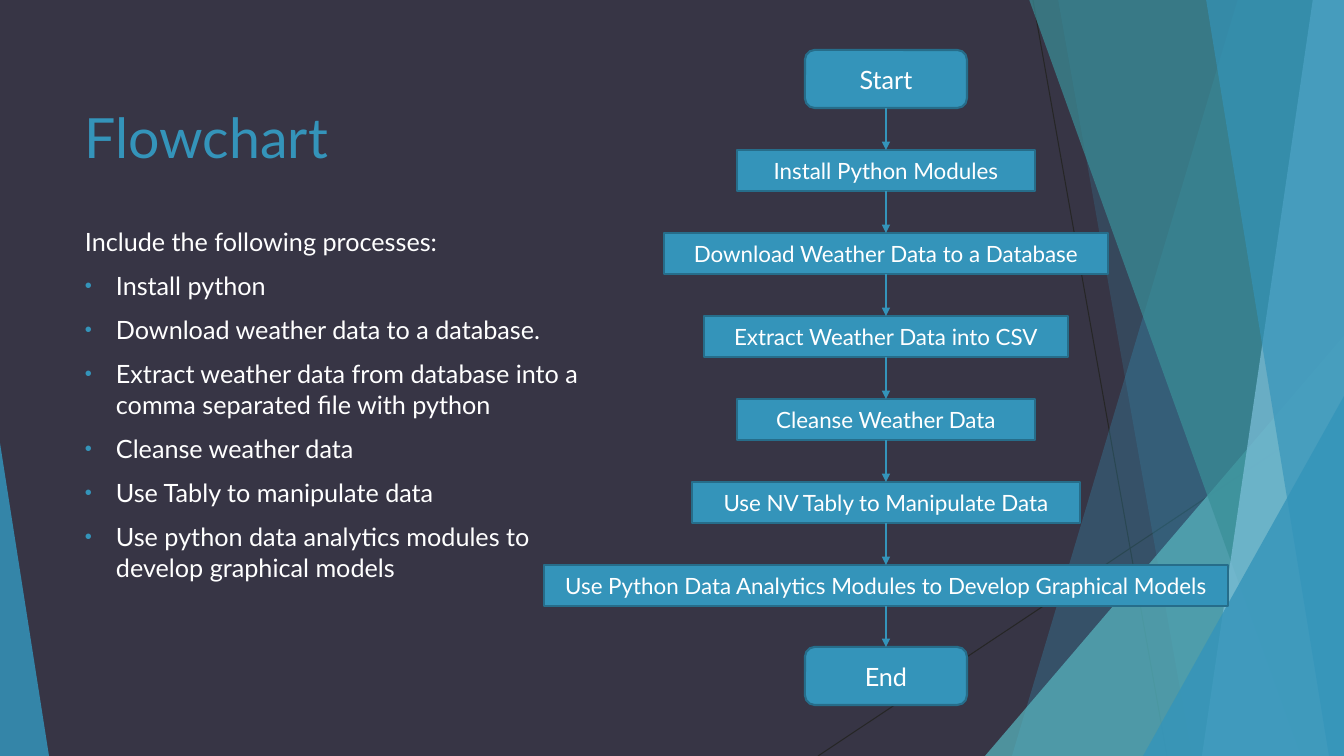
from lxml import etree
from pptx import Presentation
from pptx.dml.color import RGBColor
from pptx.enum.shapes import MSO_CONNECTOR, MSO_SHAPE
from pptx.enum.text import MSO_ANCHOR, PP_ALIGN
from pptx.oxml.ns import qn
from pptx.util import Pt

STRAIGHT = MSO_CONNECTOR.STRAIGHT
RECT, ROUNDED, TRIANGLE = MSO_SHAPE.RECTANGLE, MSO_SHAPE.ROUNDED_RECTANGLE, MSO_SHAPE.ISOSCELES_TRIANGLE
MIDDLE, BOTTOM, TOP = MSO_ANCHOR.MIDDLE, MSO_ANCHOR.BOTTOM, MSO_ANCHOR.TOP
CENTER = PP_ALIGN.CENTER

W, H = 1344, 756
PX = 12192000 / W
FONT = "Lato"
DARK, BLUE, EDGE, WHITE, HAIRLINE = "373545", "3494BA", "266D8A", "FFFFFF", "262626"

TITLE = "Flowchart"
INTRO = "Include the following processes:"
BULLETS = [
    "Install python",
    "Download weather data to a database.",
    "Extract weather data from database into a comma separated file with python",
    "Cleanse weather data",
    "Use Tably to manipulate data",
    "Use python data analytics modules to develop graphical models",
]
STEPS = [  # text, width
    ("Install Python Modules", 298),
    ("Download Weather Data to a Database", 444),
    ("Extract Weather Data into CSV", 364),
    ("Cleanse Weather Data", 298),
    ("Use NV Tably to Manipulate Data", 388),
    ("Use Python Data Analytics Modules to Develop Graphical Models", 684),
]
AXIS, STEP_TOP, STEP_PITCH, STEP_H = 886, 150, 83, 41
END_W, END_H, START_TOP, END_TOP = 162, 58, 50, 647

HAIRLINES = [(1033, 0, 1167, H), (W, 406, 818, H)]
# band: left edge at top and bottom, reaching the right border
# triangle: left, top, width, position of the apex
BACKDROP = [
    ("band", (1238, 1012), BLUE, 30),
    ("band", (1058, 1192), BLUE, 20),
    ("triangle", (985, 336, 359, 1), "58B6C0", 72),
    ("band", (1029, 1301), "3A8F98", 70),
    ("band", (1313, 1202), "7FC1DB", 70),
    ("band", (1206, 1329), BLUE, 65),
    ("triangle", (1143, 396, 201, 1), BLUE, 80),
    ("triangle", (0, 443, 49, 0), BLUE, 85),
]


def emu(*lengths):
    return [round(n * PX) for n in lengths]


def rgb(value):
    return RGBColor.from_string(value)


def paint(sp, fill, alpha=None, line=None):
    sp.shadow.inherit = False
    sp.fill.solid()
    sp.fill.fore_color.rgb = rgb(fill)
    if alpha is not None:
        color = sp.fill._xPr.find(qn("a:solidFill"))[0]
        etree.SubElement(color, qn("a:alpha"), val=str(alpha * 1000))
    if line:
        sp.line.color.rgb = rgb(line)
        sp.line.width = Pt(1.5)
    else:
        sp.line.fill.background()


def add_run(p, text, size, color):
    r = p.add_run()
    r.text = text
    r.font.name, r.font.size = FONT, Pt(size)
    r.font.color.rgb = rgb(color)


def add_line(shapes, ends, color, width):
    cx = shapes.add_connector(STRAIGHT, *emu(*ends))
    cx.line.color.rgb = rgb(color)
    cx.line.width = Pt(width)
    etree.SubElement(cx._element.spPr, qn("a:effectLst"))
    return cx


def add_backdrop(shapes):
    for ends in HAIRLINES:
        add_line(shapes, ends, HAIRLINE, 0.75)
    for kind, geometry, color, alpha in BACKDROP:
        if kind == "band":
            top, bottom = geometry
            outline = shapes.build_freeform(top, -1, scale=PX)
            outline.add_line_segments([(W, -1), (W, H), (bottom, H)], close=True)
            sp = outline.convert_to_shape()
        else:
            x, y, w, apex = geometry
            sp = shapes.add_shape(TRIANGLE, *emu(x, y, w, H - y))
            sp.adjustments[0] = apex
        paint(sp, color, alpha)


def add_text_box(shapes, box, anchor):
    tf = shapes.add_textbox(*emu(*box)).text_frame
    tf.word_wrap = True
    tf.vertical_anchor = anchor
    return tf


def add_bullet(p):
    pPr = p._p.get_or_add_pPr()
    indent = emu(31)[0]
    pPr.set("marL", str(indent))
    pPr.set("indent", str(-indent))
    color = etree.SubElement(pPr, qn("a:buClr"))
    etree.SubElement(color, qn("a:srgbClr"), val=BLUE)
    etree.SubElement(pPr, qn("a:buSzPct"), val="80000")
    etree.SubElement(pPr, qn("a:buFont"), typeface="Arial")
    etree.SubElement(pPr, qn("a:buChar"), char="•")


def add_node(shapes, kind, text, top, w, h, size):
    """Add one flowchart box centred on the axis."""
    sp = shapes.add_shape(kind, *emu(AXIS - w / 2, top, w, h))
    paint(sp, BLUE, line=EDGE)
    tf = sp.text_frame
    tf.word_wrap = True
    tf.vertical_anchor = MIDDLE
    p = tf.paragraphs[0]
    p.alignment = CENTER
    add_run(p, text, size, WHITE)
    return sp


def add_flowchart(shapes):
    nodes = [add_node(shapes, ROUNDED, "Start", START_TOP, END_W, END_H, 18)]
    for i, (text, w) in enumerate(STEPS):
        nodes.append(add_node(shapes, RECT, text, STEP_TOP + i * STEP_PITCH, w, STEP_H, 16))
    nodes.append(add_node(shapes, ROUNDED, "End", END_TOP, END_W, END_H, 18))
    for upper, lower in zip(nodes, nodes[1:]):
        cx = add_line(shapes, (0, 0, 0, 0), BLUE, 1)
        cx.begin_connect(upper, 2)
        cx.end_connect(lower, 0)
        etree.SubElement(cx.line._get_or_add_ln(), qn("a:tailEnd"), type="triangle")


def main():
    prs = Presentation()
    prs.slide_width, prs.slide_height = emu(W, H)
    slide = prs.slides.add_slide(prs.slide_layouts[6])
    slide.background.fill.solid()
    slide.background.fill.fore_color.rgb = rgb(DARK)
    shapes = slide.shapes

    add_backdrop(shapes)
    title = add_text_box(shapes, (75, 113, 948, 62), BOTTOM)
    add_run(title.paragraphs[0], TITLE, 39.6, BLUE)

    body = add_text_box(shapes, (75, 221, 548, 426), TOP)
    for i, text in enumerate([INTRO] + BULLETS):
        p = body.add_paragraph() if i else body.paragraphs[0]
        p.space_before = Pt(10)
        if i:
            add_bullet(p)
        add_run(p, text, 18, WHITE)

    add_flowchart(shapes)
    prs.save("out.pptx")


if __name__ == "__main__":
    main()
